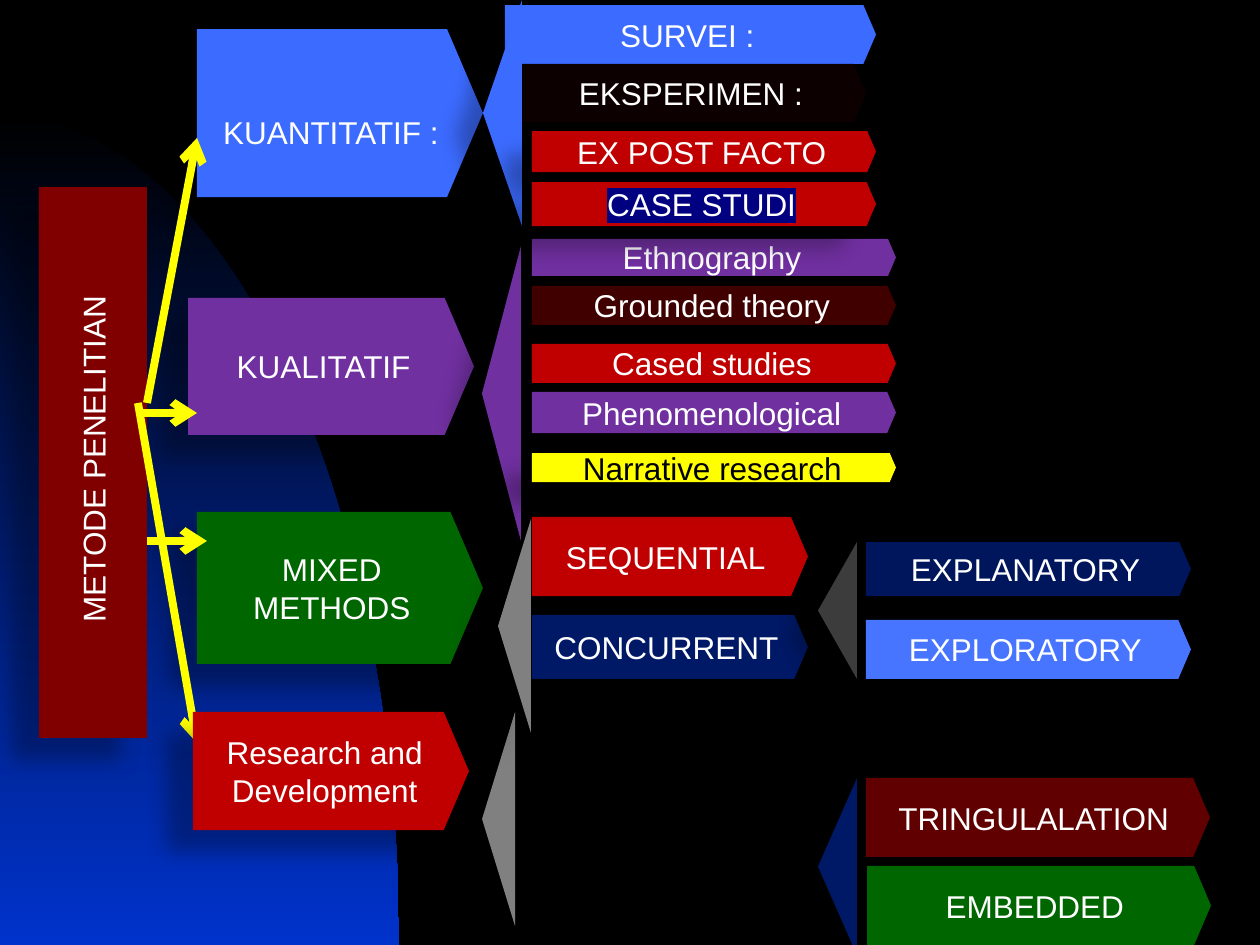
from dataclasses import dataclass
from math import cos, pi, sin

from lxml.etree import SubElement
from pptx import Presentation
from pptx.dml.color import RGBColor
from pptx.enum.shapes import MSO_CONNECTOR, MSO_SHAPE
from pptx.enum.text import MSO_ANCHOR, PP_ALIGN
from pptx.oxml.ns import qn
from pptx.util import Emu, Pt


@dataclass(frozen=True)
class Theme:
    font: str = "Arial"
    text_size: int = 18
    arrow_width: float = 4.5
    black: str = "000000"
    white: str = "FFFFFF"
    glow: str = "0033CC"
    blue: str = "3C6BFF"
    light_blue: str = "4775FF"
    navy: str = "001966"
    deep_navy: str = "00165C"
    purple: str = "7030A0"
    green: str = "006600"
    red: str = "C00000"
    maroon: str = "800000"
    dark_maroon: str = "600000"
    brown: str = "400000"
    near_black: str = "0D0000"
    yellow: str = "FFFF00"
    grey: str = "808080"
    dark_grey: str = "3C3C3C"
    marker: str = "000080"


THEME = Theme()
EMU_PER_PX = 914400 / 126


def px(length):
    return Emu(round(length * EMU_PER_PX))


def rgb(colour):
    return RGBColor.from_string(colour)


def write_text(shape, text, *, ink=THEME.white, highlight=None, top_inset=6, vertical=None):
    frame = shape.text_frame
    frame.word_wrap = True
    frame.vertical_anchor = MSO_ANCHOR.MIDDLE
    frame.margin_top = px(top_inset)
    if vertical:
        frame._txBody.bodyPr.set("vert", vertical)
    para = frame.paragraphs[0]
    para.alignment = PP_ALIGN.CENTER
    span = para.add_run()
    span.text = text
    span.font.size = Pt(THEME.text_size)
    span.font.color.rgb = rgb(ink)
    span.font.name = THEME.font
    if highlight:
        properties = span._r.get_or_add_rPr()
        mark = SubElement(properties, qn("a:highlight"))
        SubElement(mark, qn("a:srgbClr"), val=highlight)
        properties.find(qn("a:latin")).addprevious(mark)


class SlideBuilder:
    def __init__(self, slide, theme):
        self.slide = slide
        self.theme = theme
        fill = slide.background.fill
        fill.solid()
        fill.fore_color.rgb = rgb(theme.black)

    def block(self, kind, left, top, width, height, colour):
        shape = self.slide.shapes.add_shape(kind, px(left), px(top), px(width), px(height))
        shape.fill.solid()
        shape.fill.fore_color.rgb = rgb(colour)
        shape.line.fill.background()
        shape.shadow.inherit = False
        effects = shape._element.spPr.find(qn("a:effectLst"))
        shadow = SubElement(
            effects, qn("a:outerShdw"), blurRad=str(int(Pt(11.8))), dist=str(int(Pt(19.7))),
            dir=str(141 * 60000), algn="ctr", rotWithShape="0",
        )
        tint = SubElement(shadow, qn("a:srgbClr"), val=self.theme.black)
        SubElement(tint, qn("a:alpha"), val="28000")
        return shape

    def plate(self, text, left, top, width, height, colour, **text_format):
        shape = self.block(MSO_SHAPE.PENTAGON, left, top, width, height, colour)
        shape.adjustments[0] = 0.214
        write_text(shape, text, **text_format)

    def root(self, text, left, top, width, height, colour):
        shape = self.block(MSO_SHAPE.RECTANGLE, left, top, width, height, colour)
        write_text(shape, text, vertical="vert270")

    def left_triangle(self, left, top, width, height, colour):
        offset = (height - width) / 2
        shape = self.block(
            MSO_SHAPE.ISOSCELES_TRIANGLE, left - offset, top + offset, height, width, colour
        )
        shape.rotation = 270

    def arrow(self, start_x, start_y, end_x, end_y):
        connector = self.slide.shapes.add_connector(
            MSO_CONNECTOR.STRAIGHT, px(start_x), px(start_y), px(end_x), px(end_y)
        )
        connector.line.color.rgb = rgb(self.theme.yellow)
        connector.line.width = Pt(self.theme.arrow_width)
        SubElement(connector.line._get_or_add_ln(), qn("a:tailEnd"), type="arrow")
        SubElement(connector._element.spPr, qn("a:effectLst"))

    def quarter_ellipse(self, top, width, height, steps=90):
        bottom = top + height
        angles = [pi / 2 * step / steps for step in range(steps + 1)]
        rim = [(px(width * sin(a)), px(bottom - height * cos(a))) for a in angles]
        builder = self.slide.shapes.build_freeform(*rim[0])
        builder.add_line_segments([*rim[1:], (0, px(bottom))], close=True)
        shape = builder.convert_to_shape()
        shape.shadow.inherit = False
        shape.line.fill.background()
        shape.fill.gradient()
        shape.fill.gradient_angle = 270
        for stop, colour in zip(shape.fill.gradient_stops, (self.theme.black, self.theme.glow)):
            stop.color.rgb = rgb(colour)


def main():
    deck = Presentation()
    deck.slide_width, deck.slide_height = px(1260), px(945)
    page = SlideBuilder(deck.slides.add_slide(deck.slide_layouts[6]), THEME)
    page.quarter_ellipse(116, 399, 829)

    page.plate("KUALITATIF", 188, 298, 286, 137, THEME.purple)
    page.plate("KUANTITATIF :", 197, 29, 286, 168, THEME.blue, top_inset=43)
    branches = [
        ("MIXED METHODS", 197, 512, 286, 152, THEME.green),
        ("Ethnography", 532, 239, 364, 37, THEME.purple),
        ("SURVEI :", 505, 5, 371, 59, THEME.blue),
        ("EKSPERIMEN :", 522, 64, 344, 58, THEME.near_black),
        ("SEQUENTIAL", 532, 517, 276, 79, THEME.red),
        ("CONCURRENT", 532, 615, 276, 64, THEME.navy),
        ("EXPLANATORY", 866, 542, 325, 54, THEME.deep_navy),
        ("EXPLORATORY", 866, 620, 325, 59, THEME.light_blue),
        ("Grounded theory", 532, 286, 364, 39, THEME.brown),
        ("Cased studies", 532, 344, 364, 39, THEME.red),
        ("Phenomenological", 532, 392, 364, 41, THEME.purple),
        ("TRINGULALATION", 866, 778, 344, 79, THEME.dark_maroon),
        ("EMBEDDED", 867, 866, 344, 79, THEME.green),
    ]
    for branch in branches:
        page.plate(*branch)

    page.root("METODE PENELITIAN", 39, 187, 108, 551, THEME.maroon)
    triangles = [
        (482, 246, 39, 295, THEME.purple),
        (482, 712, 33, 214, THEME.grey),
        (483, 0, 39, 226, THEME.blue),
        (818, 542, 39, 137, THEME.dark_grey),
        (818, 778, 39, 177, THEME.navy),
    ]
    for triangle in triangles:
        page.left_triangle(*triangle)

    page.plate("Narrative research", 532, 453, 364, 29, THEME.yellow, ink=THEME.black)
    for ends in [(147, 403, 197, 138), (138, 403, 197, 743), (138, 413, 197, 413)]:
        page.arrow(*ends)
    page.plate("EX POST FACTO", 532, 131, 344, 41, THEME.red)
    page.arrow(147, 541, 207, 541)
    page.plate("Research and Development", 193, 712, 276, 118, THEME.red)
    page.left_triangle(498, 519, 33, 214, THEME.grey)
    page.plate("CASE STUDI", 532, 182, 344, 44, THEME.red, highlight=THEME.marker)
    deck.save("out.pptx")


if __name__ == "__main__":
    main()
